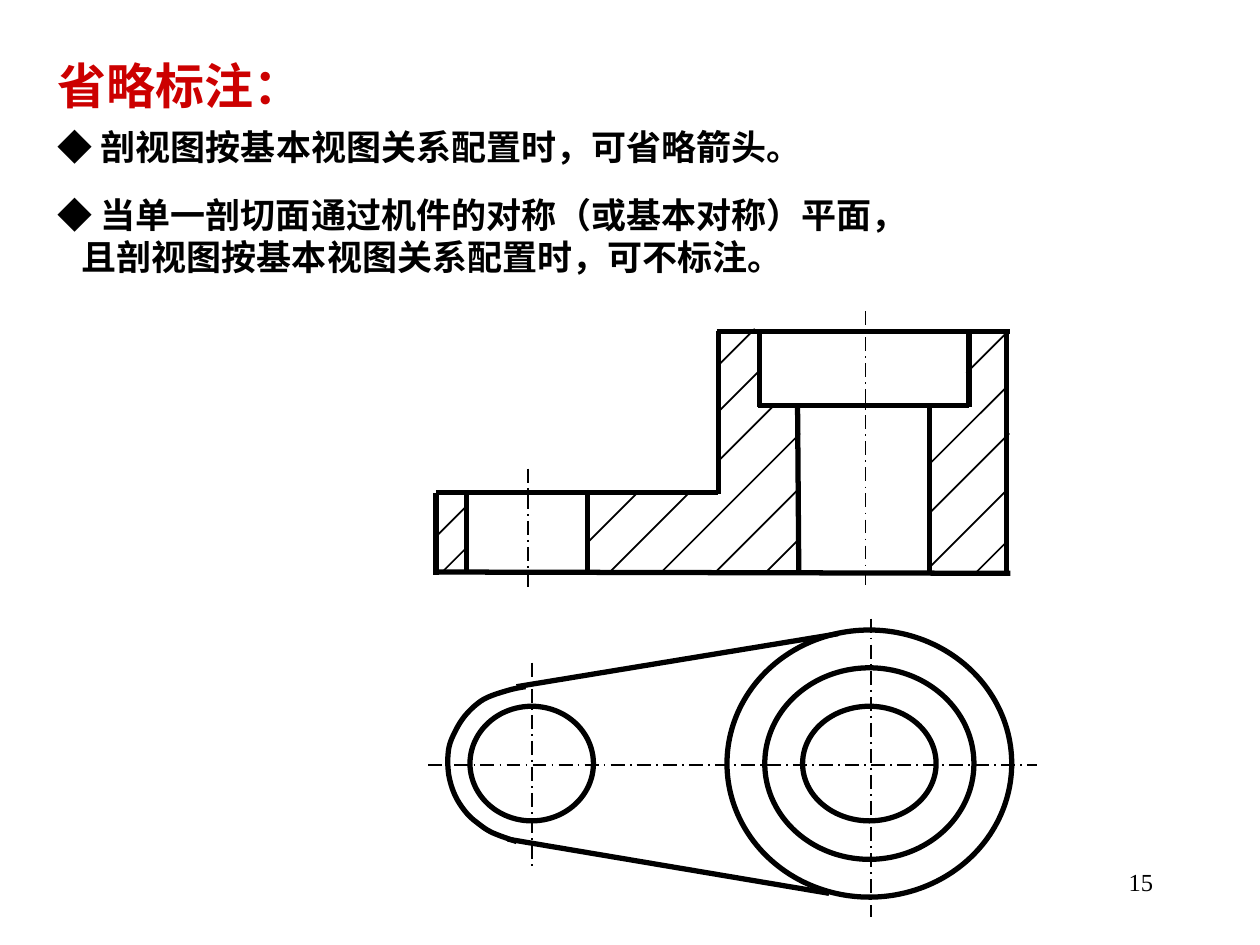
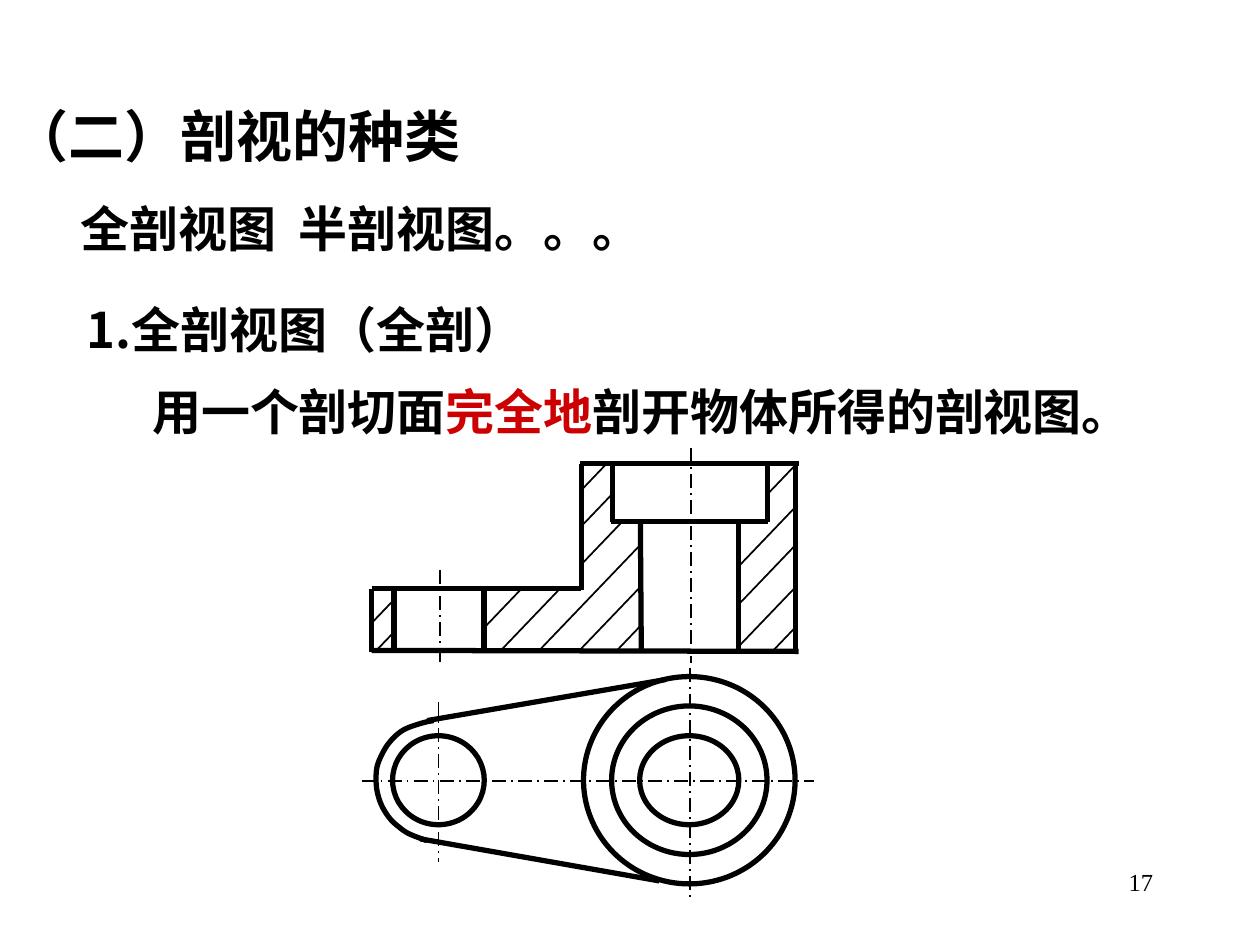
import pptx
import pptx.dml.color
import pptx.enum.dml
import pptx.enum.shapes
import pptx.enum.text
import pptx.oxml
import pptx.oxml.ns
import pptx.util
from dataclasses import dataclass


@dataclass(frozen=True)
class Theme:
    ink: str = "000000"
    accent: str = "CC0000"
    heading_font: str = "Noto Sans CJK SC"
    number_font: str = "Times New Roman"
    number_size: int = 14
    body_size: int = 20
    title_size: int = 28
    chapter_size: int = 32
    outline: float = 3
    thin: float = 1


THEME = Theme()
SLIDE_SIZE = (10, 7.5)
NUMBER_BOX = (7.17, 6.83, 2.08, 0.5)

PAGES = [
    {
        "number": "15",
        "texts": [
            {"box": (0.36, 0.39, 3.89, 0.57), "lines": ["省略标注："],
             "size": THEME.title_size, "color": THEME.accent},
            {"box": (0.36, 0.95, 8.05, 0.44),
             "lines": ["◆ 剖视图按基本视图关系配置时，可省略箭头。"]},
            {"box": (0.36, 1.49, 9.07, 0.77), "next_indent": 0.19,
             "lines": ["◆ 当单一剖切面通过机件的对称（或基本对称）平面，",
                       "且剖视图按基本视图关系配置时，可不标注。"]},
        ],
        "section_at": (3.46, 2.63),
        "plan_at": (3.4, 4.91),
        "scale": (1, 1),
    },
    {
        "number": "17",
        "texts": [
            {"box": (0, 0.76, 4.44, 0.64), "lines": ["（二）剖视的种类"],
             "size": THEME.chapter_size},
            {"box": (0.19, 1.53, 7.21, 0.57), "lines": ["全剖视图\t半剖视图。。。"],
             "size": THEME.title_size, "inset": 0.45, "tab": 1.73},
            {"box": (0.59, 2.33, 4.65, 0.57), "lines": ["1.全剖视图（全剖）"],
             "size": THEME.title_size},
            {"box": (1.11, 2.98, 7.96, 0.57), "size": THEME.title_size,
             "font": THEME.number_font, "wrap": False,
             "lines": [[("用一个剖切面", THEME.ink), ("完全地", THEME.accent),
                        ("剖开物体所得的剖视图。", THEME.ink)]]},
        ],
        "section_at": (2.95, 3.68),
        "plan_at": (2.87, 5.3),
        "scale": (0.743, 0.776),
    },
]

SECTION_EDGES = [
    (4.53, 0, 4.53, 1.92), (0, 1.28, 0, 1.93),
    (1.2, 1.29, 1.2, 1.91), (0.24, 1.28, 0.24, 1.91),
    (2.57, 0, 2.57, 0.6), (4.23, 0, 4.23, 0.6),
    (3.92, 0.6, 3.92, 1.91), (2.87, 0.6, 2.88, 1.93),
    (2.24, 0, 2.24, 1.29), (2.23, 0, 4.56, 0),
    (0, 1.91, 4.56, 1.92), (0, 1.28, 2.24, 1.28),
    (2.56, 0.59, 4.23, 0.59),
]
SECTION_AXES = [(3.41, -0.16, 3.41, 2.04), (0.73, 1.09, 0.73, 2.06)]
HATCH_STARTS_AND_RUNS = [
    (2.24, 1.03, 0.44), (2.61, 1.92, 0.27), (2.21, 1.92, 0.67),
    (1.79, 1.91, 1.1), (1.37, 1.92, 0.63), (2.24, 0.64, 0.32),
    (2.24, 0.27, 0.29), (1.21, 1.67, 0.38), (4.28, 1.92, 0.26),
    (3.93, 1.86, 0.59), (3.92, 1.44, 0.63), (3.93, 1.04, 0.61),
    (4.21, 0.33, 0.32), (0, 1.63, 0.25), (0.06, 1.9, 0.17),
]
PLAN_AXES = [(0, 1.16, 4.83, 1.16), (3.51, 0, 3.51, 2.37), (0.82, 0.35, 0.82, 1.99)]
PLAN_TANGENTS = [(0.7, 0.54, 3.25, 0.12), (0.63, 1.75, 3.18, 2.18)]
PLAN_ELLIPSES = [
    (3.5, 1.15, 2.26, 2.12), (3.5, 1.15, 1.66, 1.52),
    (3.5, 1.15, 1.06, 0.91), (0.82, 1.15, 0.98, 0.91),
]
PLAN_END_CURVE = [
    (0.77, 0.54), (0.63, 0.57), (0.44, 0.64), (0.3, 0.76), (0.21, 0.9), (0.16, 1.04),
    (0.16, 1.23), (0.21, 1.4), (0.3, 1.54), (0.4, 1.63), (0.51, 1.7), (0.7, 1.77),
]


def inches(values):
    return [pptx.util.Inches(value) for value in values]


def add_text(page, box, lines, size=THEME.body_size, color=THEME.ink,
             font=THEME.heading_font, bold=True, align=None, wrap=True,
             grow=True, inset=0.1, tab=None, next_indent=0):
    frame = page.shapes.add_textbox(*inches(box)).text_frame
    frame.word_wrap = wrap
    frame.margin_left = pptx.util.Inches(inset)
    if grow:
        frame.auto_size = pptx.enum.text.MSO_AUTO_SIZE.SHAPE_TO_FIT_TEXT
    for index, line in enumerate(lines):
        para = frame.add_paragraph() if index else frame.paragraphs[0]
        para.alignment = align
        properties = para._p.get_or_add_pPr()
        if index and next_indent:
            properties.set("marL", str(pptx.util.Inches(next_indent)))
        if tab:
            stops = pptx.oxml.parse_xml(
                f'<a:tabLst {pptx.oxml.ns.nsdecls("a")}>'
                f'<a:tab pos="{pptx.util.Inches(tab)}" algn="l"/></a:tabLst>')
            properties.append(stops)
        for words, shade in [(line, color)] if isinstance(line, str) else line:
            span = para.add_run()
            span.text = words
            span.font.size = pptx.util.Pt(size)
            span.font.bold = bold
            span.font.name = font
            span.font.color.rgb = pptx.dml.color.RGBColor.from_string(shade)
            east_asian = pptx.oxml.parse_xml(
                f'<a:ea {pptx.oxml.ns.nsdecls("a")} typeface="{THEME.heading_font}"/>')
            span.font._element.find(pptx.oxml.ns.qn("a:latin")).addnext(east_asian)


def style_line(shape, width):
    shape.line.color.rgb = pptx.dml.color.RGBColor.from_string(THEME.ink)
    shape.line.width = pptx.util.Pt(width)


def style_outline(shape):
    shape.shadow.inherit = False
    shape.fill.background()
    style_line(shape, THEME.outline)


class View:
    def __init__(self, page, origin, scale):
        self.page, self.origin, self.scale = page, origin, scale

    def place(self, x, y):
        return inches(start + value * factor for start, value, factor
                      in zip(self.origin, (x, y), self.scale))

    def add_lines(self, segments, width, axis=False):
        for x1, y1, x2, y2 in segments:
            line = self.page.shapes.add_connector(
                pptx.enum.shapes.MSO_CONNECTOR.STRAIGHT,
                *self.place(x1, y1), *self.place(x2, y2))
            style_line(line, width)
            if axis:
                line.line.dash_style = pptx.enum.dml.MSO_LINE.LONG_DASH_DOT
            line._element.spPr.append(
                pptx.oxml.parse_xml(f'<a:effectLst {pptx.oxml.ns.nsdecls("a")}/>'))

    def add_ellipse(self, x, y, width, height):
        left, top = self.place(x - width / 2, y - height / 2)
        right, bottom = self.place(x + width / 2, y + height / 2)
        style_outline(self.page.shapes.add_shape(
            pptx.enum.shapes.MSO_SHAPE.OVAL, left, top, right - left, bottom - top))

    def add_curve(self, knots):
        points = [self.place(*point) for point in smooth_points(knots)]
        builder = self.page.shapes.build_freeform(*points[0])
        builder.add_line_segments(points[1:], close=False)
        style_outline(builder.convert_to_shape())


def smooth_points(knots, steps=6):
    padded = [knots[0], *knots, knots[-1]]
    points = [knots[0]]
    for before, start, end, after in zip(padded, padded[1:], padded[2:], padded[3:]):
        for step in range(1, steps + 1):
            t = step / steps
            points.append(tuple(
                b + t * (c - a) / 2
                + t ** 2 * (2 * a - 5 * b + 4 * c - d) / 2
                + t ** 3 * (3 * b - a - 3 * c + d) / 2
                for a, b, c, d in zip(before, start, end, after)))
    return points


def draw_section(view):
    hatching = [(x, y, x + run, y - run) for x, y, run in HATCH_STARTS_AND_RUNS]
    view.add_lines(hatching, THEME.thin)
    view.add_lines(SECTION_AXES, THEME.thin, axis=True)
    view.add_lines(SECTION_EDGES, THEME.outline)


def draw_plan(view):
    view.add_lines(PLAN_AXES, THEME.thin, axis=True)
    for ellipse in PLAN_ELLIPSES:
        view.add_ellipse(*ellipse)
    view.add_lines(PLAN_TANGENTS, THEME.outline)
    view.add_curve(PLAN_END_CURVE)


def main():
    deck = pptx.Presentation()
    deck.slide_width, deck.slide_height = inches(SLIDE_SIZE)
    for content in PAGES:
        page = deck.slides.add_slide(deck.slide_layouts[6])
        add_text(page, NUMBER_BOX, [content["number"]], size=THEME.number_size,
                 font=THEME.number_font, bold=False, grow=False,
                 align=pptx.enum.text.PP_ALIGN.RIGHT)
        for text in content["texts"]:
            add_text(page, **text)
        draw_plan(View(page, content["plan_at"], content["scale"]))
        draw_section(View(page, content["section_at"], content["scale"]))
    deck.save("out.pptx")


if __name__ == "__main__":
    main()
